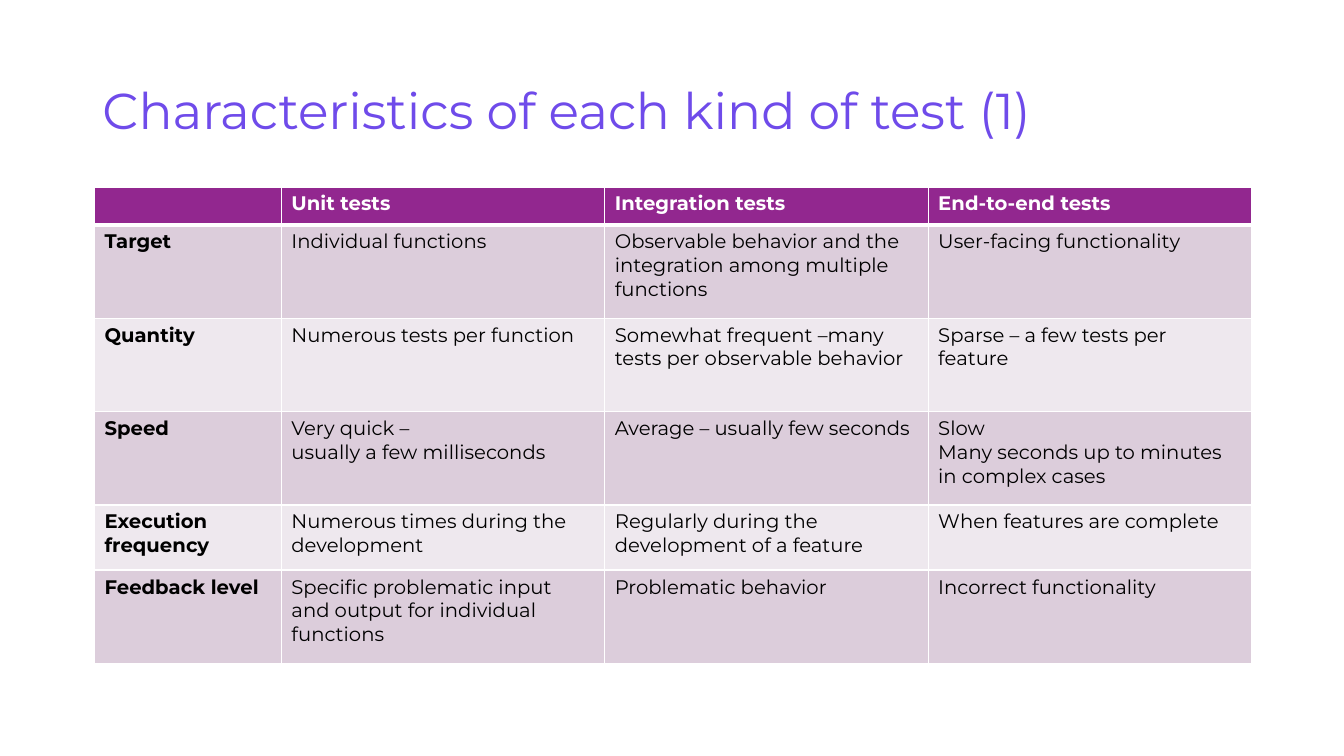
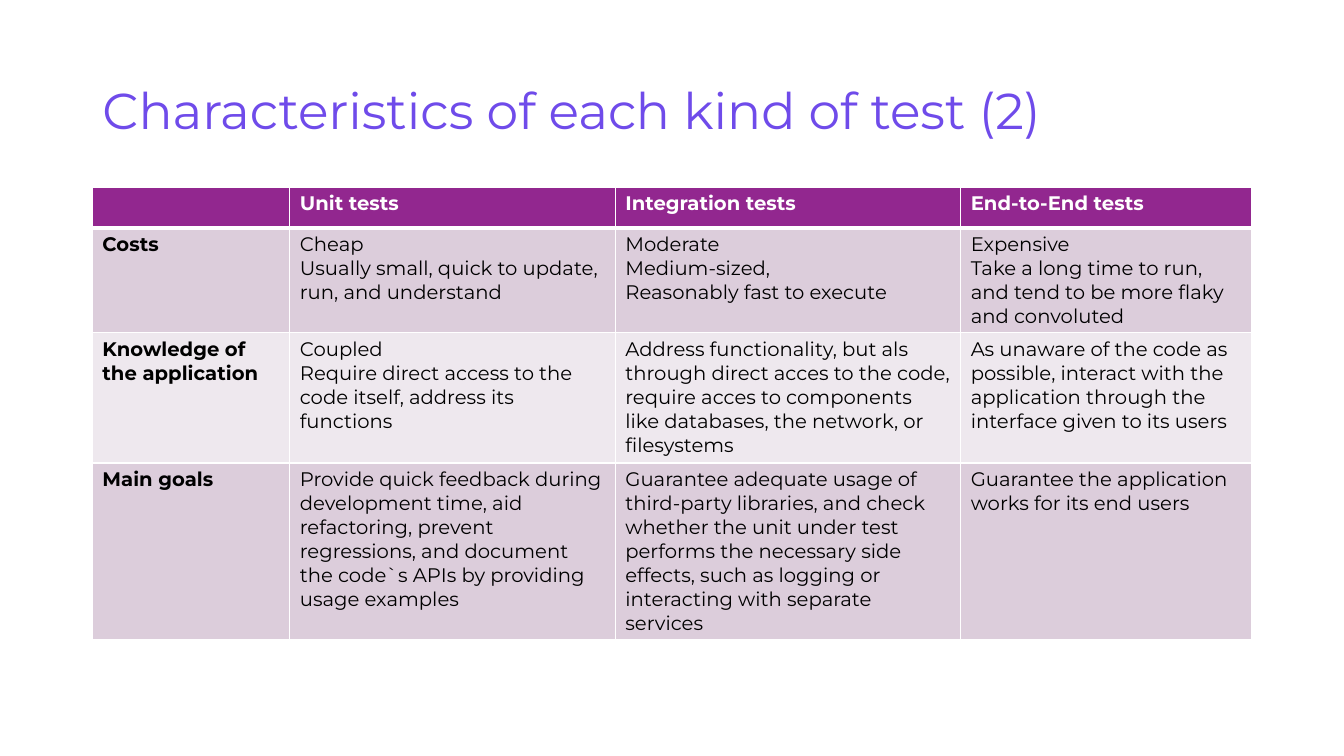
"""Build two slides that compare unit, integration and end-to-end tests."""
from lxml.etree import SubElement
from pptx import Presentation
from pptx.dml.color import RGBColor
from pptx.enum.text import MSO_ANCHOR
from pptx.oxml.ns import qn
from pptx.util import Emu, Pt

PX = 9525
FONT = "Montserrat"
TITLE, HEADER, BLACK, WHITE = "6F4BEA", "92278F", "000000", "FFFFFF"
BANDS = ["DCCDDB", "EEE8EE"]
TITLE_BOX = (88, 38, 1104, 139)
TABLE_TOP = 178

SLIDES = [
    {
        "title": "Characteristics of each kind of test (1)",
        "left": 90,
        "cols": [178, 308, 308, 308],
        "heights": [36, 89, 89, 89, 62, 89],
        "rows": [
            ["", "Unit tests", "Integration tests", "End-to-end tests"],
            ["Target", "Individual functions",
             "Observable behavior and the integration among multiple functions",
             "User-facing functionality"],
            ["Quantity", "Numerous tests per function",
             "Somewhat frequent –many tests per observable behavior",
             "Sparse – a few tests per feature"],
            ["Speed", "Very quick –\nusually a few milliseconds",
             "Average – usually few seconds",
             "Slow\nMany seconds up to minutes in complex cases"],
            ["Execution\nfrequency", "Numerous times during the development",
             "Regularly during the development of a feature",
             "When features are complete"],
            ["Feedback level",
             "Specific problematic input and output for individual functions",
             "Problematic behavior", "Incorrect functionality"],
        ],
    },
    {
        "title": "Characteristics of each kind of test (2)",
        "left": 88,
        "cols": [188, 310, 329, 277],
        "heights": [39, 100, 124, 168],
        "rows": [
            ["", "Unit tests", "Integration tests", "End-to-End tests"],
            ["Costs",
             "Cheap\nUsually small, quick to update, run, and understand",
             "Moderate\nMedium-sized,\nReasonably fast to execute",
             "Expensive\nTake a long time to run, and tend to be more flaky "
             "and convoluted"],
            ["Knowledge of the application",
             "Coupled\nRequire direct access to the code itself, address its "
             "functions",
             "Address functionality, but als through direct acces to the code, "
             "require acces to components like databases, the network, or "
             "filesystems",
             "As unaware of the code as possible, interact with the "
             "application through the interface given to its users"],
            ["Main goals",
             "Provide quick feedback during development time, aid refactoring, "
             "prevent regressions, and document the code`s APIs by providing "
             "usage examples",
             "Guarantee adequate usage of third-party libraries, and check "
             "whether the unit under test performs the necessary side effects, "
             "such as logging or interacting with separate services",
             "Guarantee the application works for its end users"],
        ],
    },
]


def rgb(color):
    return RGBColor.from_string(color)


def write(tf, text, size, color, bold=False):
    for i, line in enumerate(text.split("\n")):
        p = tf.add_paragraph() if i else tf.paragraphs[0]
        if not line:
            p._p.get_or_add_endParaRPr().set("sz", str(size * 100))
            continue
        r = p.add_run()
        r.text = line
        r.font.name = FONT
        r.font.size = Pt(size)
        r.font.bold = bold
        r.font.color.rgb = rgb(color)


prs = Presentation()
prs.slide_width, prs.slide_height = Emu(1280 * PX), Emu(720 * PX)

for data in SLIDES:
    s = prs.slides.add_slide(prs.slide_layouts[6])
    tf = s.shapes.add_textbox(*[Emu(v * PX) for v in TITLE_BOX]).text_frame
    tf.word_wrap = True
    tf.vertical_anchor = MSO_ANCHOR.MIDDLE
    write(tf, data["title"], 36, TITLE)
    tf.paragraphs[0].line_spacing = 0.9

    rows, cols, heights = data["rows"], data["cols"], data["heights"]
    frame = (data["left"], TABLE_TOP, sum(cols), sum(heights))
    table = s.shapes.add_table(len(rows), len(cols),
                               *[Emu(v * PX) for v in frame]).table
    table.horz_banding = False
    for column, width in zip(table.columns, cols):
        column.width = Emu(width * PX)
    for row, height in zip(table.rows, heights):
        row.height = Emu(height * PX)

    for i, texts in enumerate(rows):
        for j, text in enumerate(texts):
            cell = table.cell(i, j)
            tcPr = cell._tc.get_or_add_tcPr()
            for side in "LRTB":
                thick = (i, side) in [(0, "B"), (1, "T")]
                ln = SubElement(tcPr, qn(f"a:ln{side}"),
                                w=str(Pt(3 if thick else 1)))
                SubElement(SubElement(ln, qn("a:solidFill")),
                           qn("a:srgbClr"), val=WHITE)
            cell.fill.solid()
            cell.fill.fore_color.rgb = rgb(BANDS[(i - 1) % 2] if i else HEADER)
            write(cell.text_frame, text, 14, BLACK if i else WHITE,
                  bold=i == 0 or j == 0)

prs.save("out.pptx")
